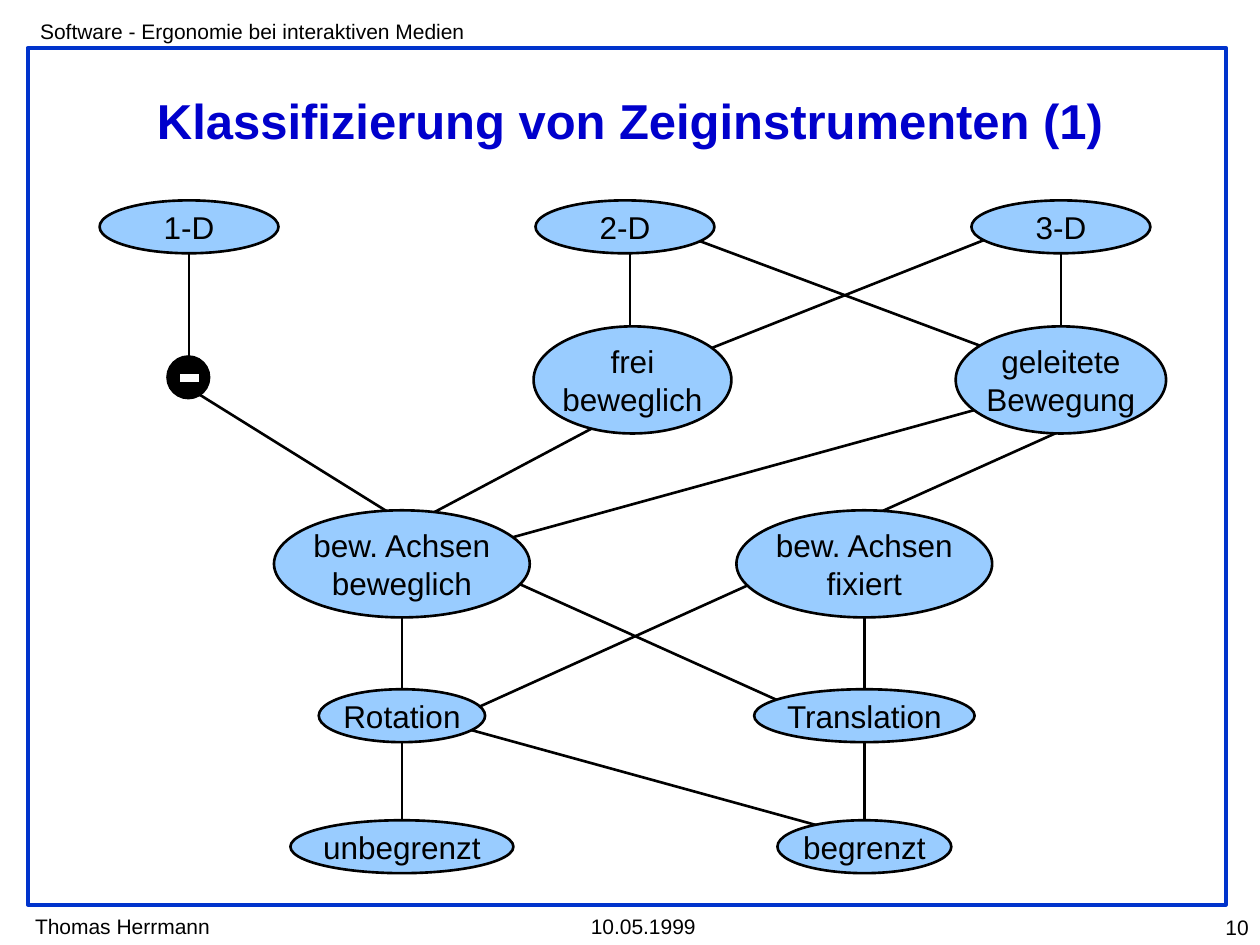
"""Build the slide that classifies pointing devices as a graph of ellipses."""
import pptx
import pptx.util
from lxml import etree
from pptx.dml.color import RGBColor
from pptx.enum.shapes import MSO_CONNECTOR, MSO_SHAPE
from pptx.enum.text import MSO_ANCHOR, PP_ALIGN
from pptx.oxml.ns import qn
from pptx.util import Inches

COLORS = {"frame": "0033CC", "title": "0000CC", "node": "99CCFF",
          "black": "000000", "white": "FFFFFF"}
LEFT, RIGHT = 3.19, 6.86
HEIGHTS = {1: 0.42, 2: 0.85}

NODES = [
    (["1-D"], 1.5, 1.59, 1.42),
    (["2-D"], 4.96, 1.59, 1.42),
    (["3-D"], 8.42, 1.59, 1.42),
    (["frei", "beweglich"], 5.02, 2.59, 1.57),
    (["geleitete", "Bewegung"], 8.42, 2.59, 1.67),
    (["bew. Achsen", "beweglich"], LEFT, 4.05, 2.03),
    (["bew. Achsen", "fixiert"], RIGHT, 4.05, 2.03),
    (["Rotation"], LEFT, 5.47, 1.32),
    (["Translation"], RIGHT, 5.47, 1.75),
    (["unbegrenzt"], LEFT, 6.51, 1.77),
    (["begrenzt"], RIGHT, 6.51, 1.38),
]

EDGES = [
    (5, 1.92, 5, 2.83),
    (8.42, 1.92, 8.42, 2.83),
    (5.33, 1.83, 8.25, 2.92),
    (8, 1.83, 5.25, 2.92),
    (1.5, 1.92, 1.5, 2.83),
    (1.5, 3.08, 3.25, 4.17),
    (4.83, 3.33, 3.25, 4.17),
    (7.75, 3.25, 3.83, 4.33),
    (8.42, 3.42, 6.75, 4.17),
    (4, 4.58, 6.42, 5.67),
    (6.08, 4.58, 3.67, 5.67),
    (RIGHT, 4.83, RIGHT, 5.67),
    (LEFT, 4.75, LEFT, 5.58),
    (RIGHT, 5.83, RIGHT, 6.58),
    (LEFT, 5.83, LEFT, 6.58),
    (3.58, 5.75, 6.92, 6.67),
]


def rgb(name):
    """Return the named colour."""
    return RGBColor.from_string(COLORS[name])


def set_line(line, color="black", width=1.5):
    """Set the colour and width of a line."""
    line.color.rgb = rgb(color)
    line.width = pptx.util.Pt(width)


def write(tf, lines, size, color="black", align=PP_ALIGN.LEFT, bold=False):
    """Write one paragraph per line."""
    for i, text in enumerate(lines):
        p = tf.add_paragraph() if i else tf.paragraphs[0]
        p.alignment = align
        r = p.add_run()
        r.text = text
        r.font.name = "Arial"
        r.font.size = pptx.util.Pt(size)
        r.font.bold = bold
        r.font.color.rgb = rgb(color)


def add_title(s, text):
    """Move, format and fill the title placeholder."""
    sp = s.shapes.title
    sp.left, sp.top, sp.width, sp.height = map(Inches, (0.5, 0.67, 9, 0.56))
    sp.text_frame.vertical_anchor = MSO_ANCHOR.MIDDLE
    write(sp.text_frame, [text], 28, "title", PP_ALIGN.CENTER, True)


def add_label(s, text, x, y, w, align=PP_ALIGN.LEFT):
    """Add a header or footer text."""
    sp = s.shapes.add_textbox(*map(Inches, (x, y, w, 0.3)))
    sp.text_frame.word_wrap = True
    write(sp.text_frame, [text], 12, align=align)


def add_shape(shapes, kind, x, y, w, h, fill=None, line="black", width=1.5):
    """Add a preset shape, unfilled when no fill is named."""
    sp = shapes.add_shape(kind, *map(Inches, (x, y, w, h)))
    sp.shadow.inherit = False
    if fill:
        sp.fill.solid()
        sp.fill.fore_color.rgb = rgb(fill)
    else:
        sp.fill.background()
    set_line(sp.line, line, width)
    return sp


def add_edge(s, x1, y1, x2, y2):
    """Add a straight line between two points."""
    c = s.shapes.add_connector(MSO_CONNECTOR.STRAIGHT,
                               *map(Inches, (x1, y1, x2, y2)))
    set_line(c.line)
    etree.SubElement(c._element.spPr, qn("a:effectLst"))


def add_node(s, lines, center, top, width):
    """Add a labelled ellipse around a centre line."""
    sp = add_shape(s.shapes, MSO_SHAPE.OVAL, center - width / 2, top, width,
                   HEIGHTS[len(lines)], "node")
    tf = sp.text_frame
    tf.margin_left = tf.margin_right = tf.margin_top = tf.margin_bottom = 0
    tf.vertical_anchor = MSO_ANCHOR.MIDDLE
    tf.word_wrap = False
    write(tf, lines, 18, align=PP_ALIGN.CENTER)


def add_minus(s):
    """Add the grouped minus sign that marks the empty branch."""
    group = s.shapes.add_group_shape()
    add_shape(group.shapes, MSO_SHAPE.OVAL, 1.33, 2.83, 0.33, 0.33, "black")
    add_shape(group.shapes, MSO_SHAPE.RECTANGLE, 1.42, 2.96, 0.17, 0.08, "white")


def main():
    """Build and save the slide."""
    prs = pptx.Presentation()
    prs.slide_width, prs.slide_height = Inches(10), Inches(7.5)
    s = prs.slides.add_slide(prs.slide_layouts[5])
    add_shape(s.shapes, MSO_SHAPE.RECTANGLE, 0.22, 0.38, 9.51, 6.8,
              line="frame", width=2.25)
    add_label(s, "Software - Ergonomie bei interaktiven Medien", 0.22, 0.1, 3.7)
    add_label(s, "Thomas Herrmann", 0.18, 7.2, 1.7)
    add_label(s, "10.05.1999", 4.59, 7.2, 1.15)
    add_label(s, "10", 9.05, 7.21, 0.96, PP_ALIGN.RIGHT)
    add_title(s, "Klassifizierung von Zeiginstrumenten (1)")
    add_minus(s)
    for edge in EDGES:
        add_edge(s, *edge)
    for node in NODES:
        add_node(s, *node)
    prs.save("out.pptx")


if __name__ == "__main__":
    main()
